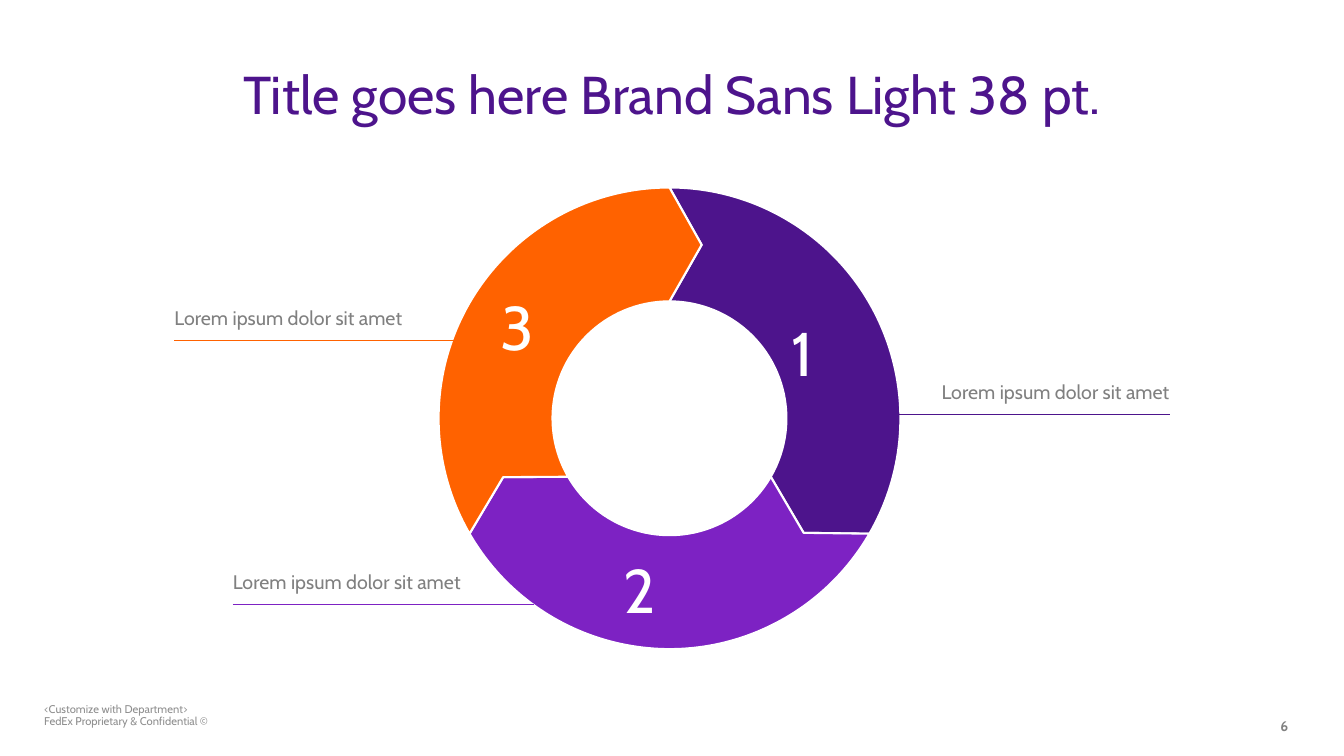
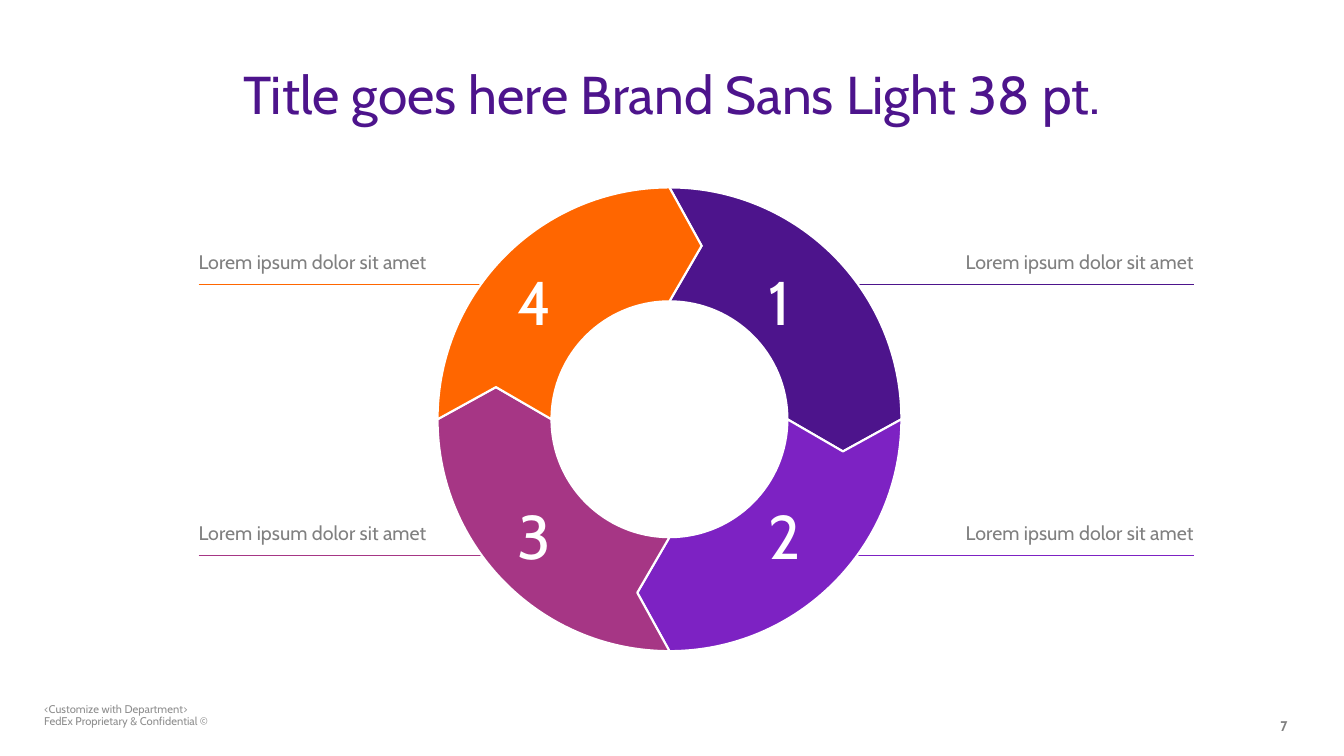
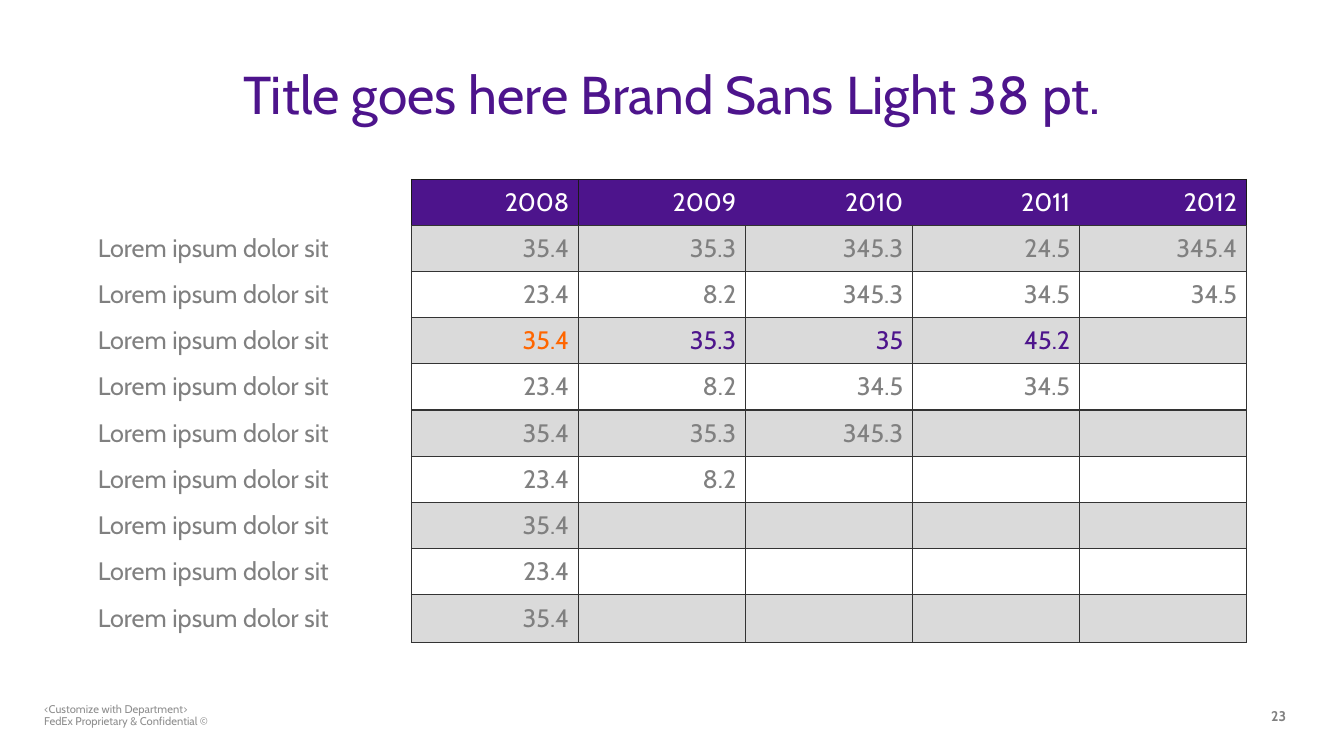
from copy import deepcopy
from itertools import pairwise
from math import atan, cos, hypot, radians, sin, tan, degrees

from lxml import etree
from pptx import Presentation
from pptx.dml.color import RGBColor
from pptx.enum import shapes, text
from pptx.oxml import ns
from pptx.util import Inches, Pt

FONT = "Cabin"
WHITE = RGBColor(0xFF, 0xFF, 0xFF)
PURPLE = RGBColor(0x4D, 0x14, 0x8C)
VIOLET = RGBColor(0x7D, 0x22, 0xC3)
PLUM = RGBColor(0xA6, 0x36, 0x85)
ORANGE = RGBColor(0xFF, 0x66, 0x00)
DEEP_ORANGE = RGBColor(0xFF, 0x62, 0x00)
GREY = RGBColor(0x80, 0x80, 0x80)
FOOTER_GREY = RGBColor(0x8E, 0x8E, 0x8E)
BAND = RGBColor(0xDA, 0xDA, 0xDA)
HEADER_BORDER = RGBColor(0x1A, 0x1A, 0x1A)
BODY_BORDER = RGBColor(0x33, 0x33, 0x33)

LEFT, CENTER, RIGHT = text.PP_ALIGN.LEFT, text.PP_ALIGN.CENTER, text.PP_ALIGN.RIGHT
TOP, BOTTOM = text.MSO_ANCHOR.TOP, text.MSO_ANCHOR.BOTTOM

TITLE = "Title goes here Brand Sans Light 38 pt."
FOOTER = "<Customize with Department>\vFedEx Proprietary & Confidential ©"
LABEL = "Lorem ipsum dolor sit amet"
LABEL_SIZE = (3.06, 0.36)
LABEL_GAP = 0.11

TIP_RADIUS = 1.75
TIP_TURN = 10.5
LONGEST_ARC = 90

YEARS = ["2008", "2009", "2010", "2011", "2012"]
ROW_LABEL = "Lorem ipsum dolor sit"
FIGURES = [
    ["35.4", "35.3", "345.3", "24.5", "345.4"],
    ["23.4", "8.2", "345.3", "34.5", "34.5"],
    ["35.4", "35.3", "35", "45.2"],
    ["23.4", "8.2", "34.5", "34.5"],
    ["35.4", "35.3", "345.3"],
    ["23.4", "8.2"],
    ["35.4"],
    ["23.4"],
    ["35.4"],
]
HIGHLIGHT_ROW = 3
TABLE_BOX = (0.88, 1.78, 11.48, 4.6)
LABEL_COLUMN = 3.2
LAST_ROW = 0.48


def format_runs(paragraph, size, color, bold=False):
    for run in paragraph.runs:
        run.font.name = FONT
        run.font.size = Pt(size)
        run.font.color.rgb = color
        run.font.bold = bold
    for line_break in paragraph._p.findall(ns.qn("a:br")):
        line_break.append(deepcopy(paragraph.runs[0]._r.rPr))


def add_text(slide, box, words, size, color, align=LEFT, anchor=TOP,
             bold=False, insets=True, line_spacing=None):
    frame = slide.shapes.add_textbox(*map(Inches, box)).text_frame
    frame.word_wrap = True
    frame.vertical_anchor = anchor
    if not insets:
        frame.margin_left = frame.margin_right = 0
        frame.margin_top = frame.margin_bottom = 0
    frame.text = words
    paragraph = frame.paragraphs[0]
    paragraph.alignment = align
    if line_spacing:
        paragraph.line_spacing = line_spacing
    format_runs(paragraph, size, color, bold)


def new_slide(prs, number, number_at=(12.6, 7.07), number_anchor=TOP):
    """Add a blank slide with the shared title, footer and slide number."""
    slide = prs.slides.add_slide(prs.slide_layouts[6])
    add_text(slide, (0, 0.56, 13.33, 0.74), TITLE, 38, PURPLE, CENTER)
    add_text(slide, (0.34, 6.93, 3.88, 0.3), FOOTER, 8, FOOTER_GREY, line_spacing=0.9)
    add_text(slide, (*number_at, 0.4, 0.2), number, 10, GREY,
             anchor=number_anchor, bold=True)
    return slide


def ring_point(center, radius, angle):
    """Point on the ring, with the angle in degrees clockwise from the top."""
    x, y = center
    turn = radians(angle)
    return Inches(x + radius * sin(turn)), Inches(y - radius * cos(turn))


def arc_curve(center, radius, start, end):
    """Two control points and the end point of a Bezier curve along an arc."""
    reach = 4 / 3 * tan(radians(end - start) / 4)
    lean = degrees(atan(reach))
    control_radius = radius * hypot(1, reach)
    return [ring_point(center, control_radius, start + lean),
            ring_point(center, control_radius, end - lean),
            ring_point(center, radius, end)]


def bend_curves(segment, steps):
    """Turn each run of three straight lines that stands for a curve into one."""
    lines = iter(list(segment._element.iter(ns.qn("a:lnTo"))))
    for step in steps:
        parts = [next(lines) for _ in step]
        if len(parts) == 3:
            curve = etree.Element(ns.qn("a:cubicBezTo"))
            parts[0].addprevious(curve)
            for part in parts:
                curve.append(part[0])
                part.getparent().remove(part)


def add_segment(slide, center, outer, inner, start, end, color):
    cuts = [*range(end, start, -LONGEST_ARC), start]
    steps = [arc_curve(center, inner, a, b) for a, b in pairwise(reversed(cuts))]
    steps.append([ring_point(center, TIP_RADIUS, end + TIP_TURN)])
    steps.append([ring_point(center, outer, end)])
    steps += [arc_curve(center, outer, a, b) for a, b in pairwise(cuts)]
    steps.append([ring_point(center, TIP_RADIUS, start + TIP_TURN)])
    builder = slide.shapes.build_freeform(*ring_point(center, inner, start))
    builder.add_line_segments([point for step in steps for point in step], close=True)
    segment = builder.convert_to_shape()
    bend_curves(segment, steps)
    segment.shadow.inherit = False
    segment.fill.solid()
    segment.fill.fore_color.rgb = color
    segment.line.color.rgb = WHITE
    segment.line.width = Pt(1.5)


def add_ring(slide, center, outer, inner, colors, digit_spots):
    """Draw one arrow segment per colour, numbered clockwise from the top."""
    sweep = 360 // len(colors)
    for index, color in enumerate(colors):
        start = index * sweep
        add_segment(slide, center, outer, inner, start, start + sweep, color)
    for number, spot in enumerate(digit_spots, 1):
        add_text(slide, (*spot, 0.72, 0.84), str(number), 44, WHITE)


def add_callout(slide, color, outer_x, ring_x, y):
    """Rule from the outer end to the ring, with its label above the outer end."""
    ends = map(Inches, (outer_x, y, ring_x, y))
    rule = slide.shapes.add_connector(shapes.MSO_CONNECTOR.STRAIGHT, *ends)
    rule.line.color.rgb = color
    rule.line.width = Pt(1)
    etree.SubElement(rule._element.spPr, ns.qn("a:effectLst"))
    width, height = LABEL_SIZE
    on_right = outer_x > ring_x
    left = outer_x - width if on_right else outer_x
    add_text(slide, (left, y - LABEL_GAP - height, width, height), LABEL, 14, GREY,
             RIGHT if on_right else LEFT, BOTTOM, insets=False)


def set_borders(cell, edges, color):
    """Draw the named edges (of L, R, T, B) and clear the others."""
    properties = cell._tc.get_or_add_tcPr()
    for position, edge in enumerate("LRTB"):
        line = etree.Element(ns.qn(f"a:ln{edge}"), w=str(Pt(1)))
        if edge in edges:
            fill = etree.SubElement(line, ns.qn("a:solidFill"))
            etree.SubElement(fill, ns.qn("a:srgbClr"), val=str(color))
        else:
            etree.SubElement(line, ns.qn("a:noFill"))
        properties.insert(position, line)


def cell_edges(row, column):
    if column == 0:
        return "R"
    if row > 0:
        return "LRTB"
    return "TB" + {1: "LR", 2: "L", len(YEARS): "R"}.get(column, "")


def text_color(row, column):
    if row == 0:
        return WHITE
    if row == HIGHLIGHT_ROW and column > 0:
        return ORANGE if column == 1 else PURPLE
    return GREY


def fill_cell(cell, row, column, words):
    cell.margin_left = cell.margin_right = Inches(0.09)
    cell.margin_top = cell.margin_bottom = Inches(0.06)
    cell.vertical_anchor = text.MSO_ANCHOR.MIDDLE
    if column > 0 and (row == 0 or row % 2):
        cell.fill.solid()
        cell.fill.fore_color.rgb = BAND if row else PURPLE
    else:
        cell.fill.background()
    set_borders(cell, cell_edges(row, column), BODY_BORDER if row else HEADER_BORDER)
    if words:
        cell.text_frame.text = words
        paragraph = cell.text_frame.paragraphs[0]
        paragraph.alignment = RIGHT if column else LEFT
        format_runs(paragraph, 18, text_color(row, column))


def add_figures_table(slide):
    rows = [["", *YEARS]] + [[ROW_LABEL, *figures] for figures in FIGURES]
    columns = len(YEARS) + 1
    box = map(Inches, TABLE_BOX)
    table = slide.shapes.add_table(len(rows), columns, *box).table
    table.first_row = table.horz_banding = False
    width, height = TABLE_BOX[2:]
    year_column = (width - LABEL_COLUMN) / len(YEARS)
    for index, column in enumerate(table.columns):
        column.width = Inches(year_column if index else LABEL_COLUMN)
    for row in table.rows:
        row.height = Inches((height - LAST_ROW) / len(FIGURES))
    table.rows[len(FIGURES)].height = Inches(LAST_ROW)
    for r, values in enumerate(rows):
        for c in range(columns):
            fill_cell(table.cell(r, c), r, c, values[c] if c < len(values) else "")


def main():
    prs = Presentation()
    prs.slide_width, prs.slide_height = Inches(13.33), Inches(7.5)

    three_steps = new_slide(prs, "6")
    add_ring(three_steps, (6.64, 4.15), 2.29, 1.16, [PURPLE, VIOLET, DEEP_ORANGE],
             [(7.75, 3.08), (6.09, 5.43), (4.87, 2.82)])
    add_callout(three_steps, PURPLE, 11.6, 8.91, 4.11)
    add_callout(three_steps, VIOLET, 2.31, 5.3, 6)
    add_callout(three_steps, DEEP_ORANGE, 1.73, 4.56, 3.38)

    four_steps = new_slide(prs, "7")
    left, right, upper, lower = 1.97, 11.84, 2.82, 5.51
    add_callout(four_steps, PURPLE, right, 8.33, upper)
    add_callout(four_steps, VIOLET, right, 8.33, lower)
    add_callout(four_steps, PLUM, left, 4.88, lower)
    add_callout(four_steps, ORANGE, left, 5.04, upper)
    add_ring(four_steps, (6.64, 4.16), 2.3, 1.17, [PURPLE, VIOLET, PLUM, ORANGE],
             [(7.52, 2.57), (7.52, 4.89), (5.03, 4.89), (5.03, 2.57)])

    yearly_figures = new_slide(prs, "23", (12.51, 7.04), BOTTOM)
    add_figures_table(yearly_figures)

    prs.save("out.pptx")


if __name__ == "__main__":
    main()
